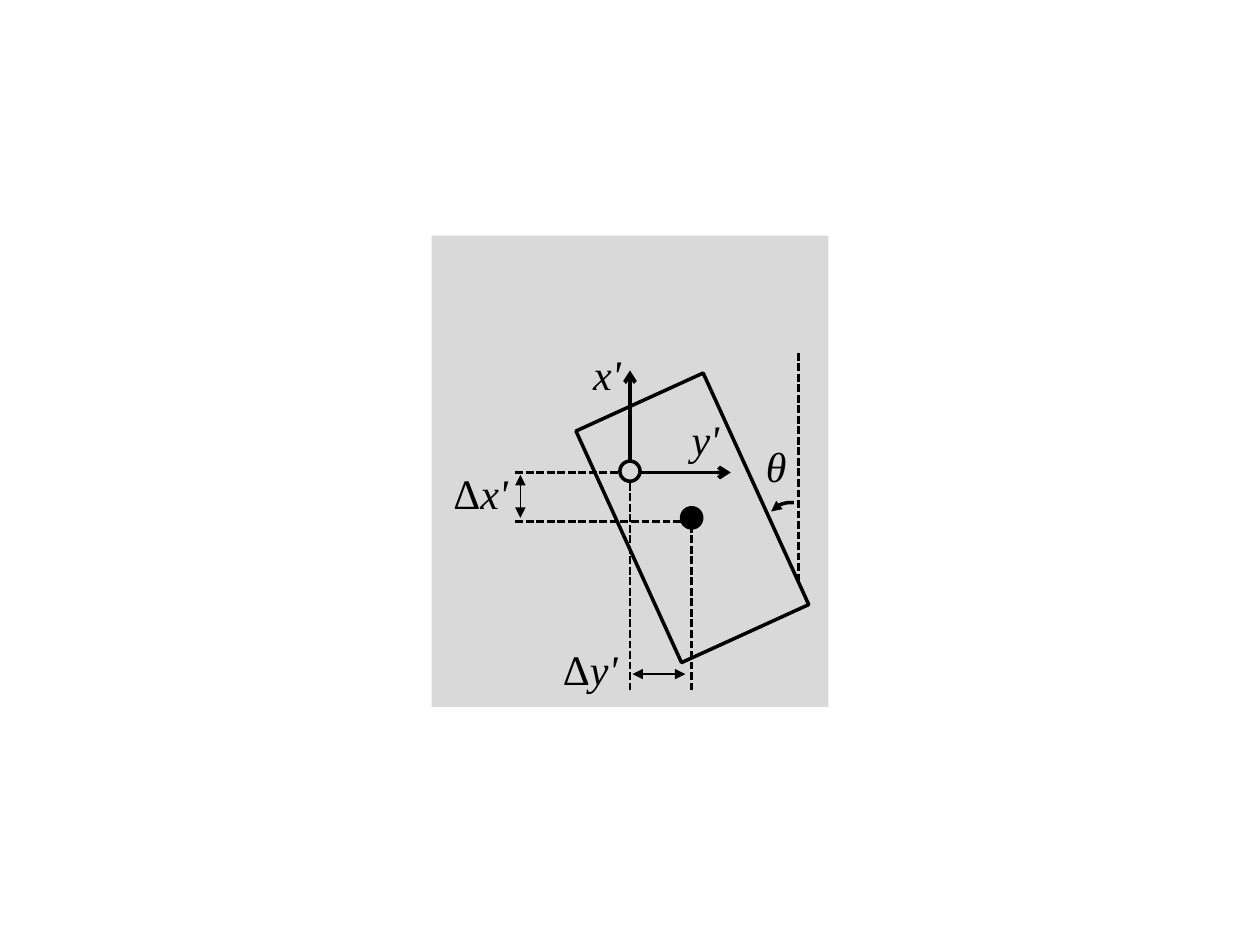
"""Draw a rotated body offset from a reference frame, with its displacements and angle."""
import pptx
import pptx.dml.color
import pptx.enum.dml
import pptx.enum.shapes
import pptx.enum.text
import pptx.oxml.ns
import pptx.util
from lxml import etree

COLORS = {"ink": "000000", "panel": "D9D9D9"}
FONT = "Times New Roman"
SLIDE_WIDTH = pptx.util.Inches(10)
SLIDE_HEIGHT = pptx.util.Inches(7.5)
COLUMNS, ROWS = 100, 75
ORIGIN = (50, 37.5)
CENTER = (54.9, 41.1)
TILT = -24.5
DOT_SIZE = 1.6


def across(columns):
    return round(SLIDE_WIDTH * columns / COLUMNS)


def down(rows):
    return round(SLIDE_HEIGHT * rows / ROWS)


def color(name):
    return pptx.dml.color.RGBColor.from_string(COLORS[name])


def style_line(shape, width, head=None, tail=None, dashed=False):
    shape.line.color.rgb = color("ink")
    shape.line.width = pptx.util.Pt(width)
    if dashed:
        shape.line.dash_style = pptx.enum.dml.MSO_LINE.SQUARE_DOT
    line = shape.line._get_or_add_ln()
    for tag, kind in (("a:headEnd", head), ("a:tailEnd", tail)):
        if kind:
            etree.SubElement(line, pptx.oxml.ns.qn(tag), type=kind)


def add_line(slide, start, end, width, **style):
    connector = slide.shapes.add_connector(
        pptx.enum.shapes.MSO_CONNECTOR.STRAIGHT,
        across(start[0]), down(start[1]), across(end[0]), down(end[1]))
    style_line(connector, width, **style)
    etree.SubElement(connector._element.spPr, pptx.oxml.ns.qn("a:effectLst"))


def add_figure(slide, kind, center, size, fill=None, outlined=True, rotation=0):
    width, height = size
    shape = slide.shapes.add_shape(
        kind, across(center[0] - width / 2), down(center[1] - height / 2),
        across(width), down(height))
    shape.shadow.inherit = False
    shape.rotation = rotation
    if fill:
        shape.fill.solid()
        shape.fill.fore_color.rgb = color(fill)
    else:
        shape.fill.background()
    if outlined:
        style_line(shape, 2)
    else:
        shape.line.fill.background()


def add_angle_arrow(slide, start, control, end, steps=12):
    points = []
    for step in range(steps + 1):
        t = step / steps
        weights = ((1 - t) ** 2, 2 * t * (1 - t), t ** 2)
        x, y = (sum(weight * value for weight, value in zip(weights, values))
                for values in zip(start, control, end))
        points.append((across(x), down(y)))
    builder = slide.shapes.build_freeform(*points[0])
    builder.add_line_segments(points[1:], close=False)
    arrow = builder.convert_to_shape()
    arrow.shadow.inherit = False
    arrow.fill.background()
    style_line(arrow, 2, tail="triangle")


def add_label(slide, left, top, width, symbol, prefix=""):
    box = slide.shapes.add_textbox(across(left), down(top), across(width), down(5))
    frame = box.text_frame
    frame.word_wrap = False
    frame.auto_size = pptx.enum.text.MSO_AUTO_SIZE.SHAPE_TO_FIT_TEXT
    for text, italic in ((prefix, False), (symbol, True)):
        if text:
            run = frame.paragraphs[0].add_run()
            run.text = text
            run.font.name = FONT
            run.font.size = pptx.util.Pt(24)
            run.font.italic = italic
            run.font.color.rgb = color("ink")


def main():
    presentation = pptx.Presentation()
    presentation.slide_width = SLIDE_WIDTH
    presentation.slide_height = SLIDE_HEIGHT
    slide = presentation.slides.add_slide(presentation.slide_layouts[6])
    shapes = pptx.enum.shapes.MSO_SHAPE
    origin_x, origin_y = ORIGIN
    center_x, center_y = CENTER

    add_figure(slide, shapes.RECTANGLE, (50, 37.4), (31.5, 37.4), "panel", outlined=False)

    for start, end in (
        ((40.9, origin_y), ORIGIN),
        ((40.9, 41.4), (54.7, 41.4)),
        ((origin_x, 54.8), ORIGIN),
        ((center_x, 54.8), (center_x, center_y)),
        ((63.4, 28), (63.4, 46.2)),
    ):
        add_line(slide, start, end, 1.5, dashed=True)

    for start, end in (((41.3, 37.7), (41.3, 41.1)), ((54.4, 53.5), (50.2, 53.5))):
        add_line(slide, start, end, 0.75, head="triangle", tail="triangle")

    add_angle_arrow(slide, (63, 39.9), (61.9, 39.8), (61.2, 40.6))
    add_figure(slide, shapes.RECTANGLE, (54.95, 41.1), (11.1, 20.2), rotation=TILT)
    add_figure(slide, shapes.OVAL, CENTER, (DOT_SIZE, DOT_SIZE), "ink", rotation=TILT)

    for end in ((origin_x, 29.4), (58, origin_y)):
        add_line(slide, ORIGIN, end, 2.25, tail="arrow")

    add_label(slide, 35, 36.6, 6.4, "x'", prefix="Δ")
    add_label(slide, 43.7, 50.6, 6.4, "y'", prefix="Δ")
    add_label(slide, 59.8, 34.5, 3.7, "θ")
    add_label(slide, 46.1, 27.2, 4.2, "x'")
    add_label(slide, 53.9, 32.3, 4.2, "y'")
    add_figure(slide, shapes.OVAL, (origin_x, 37.4), (DOT_SIZE, DOT_SIZE), "panel")

    presentation.save("out.pptx")


if __name__ == "__main__":
    main()
